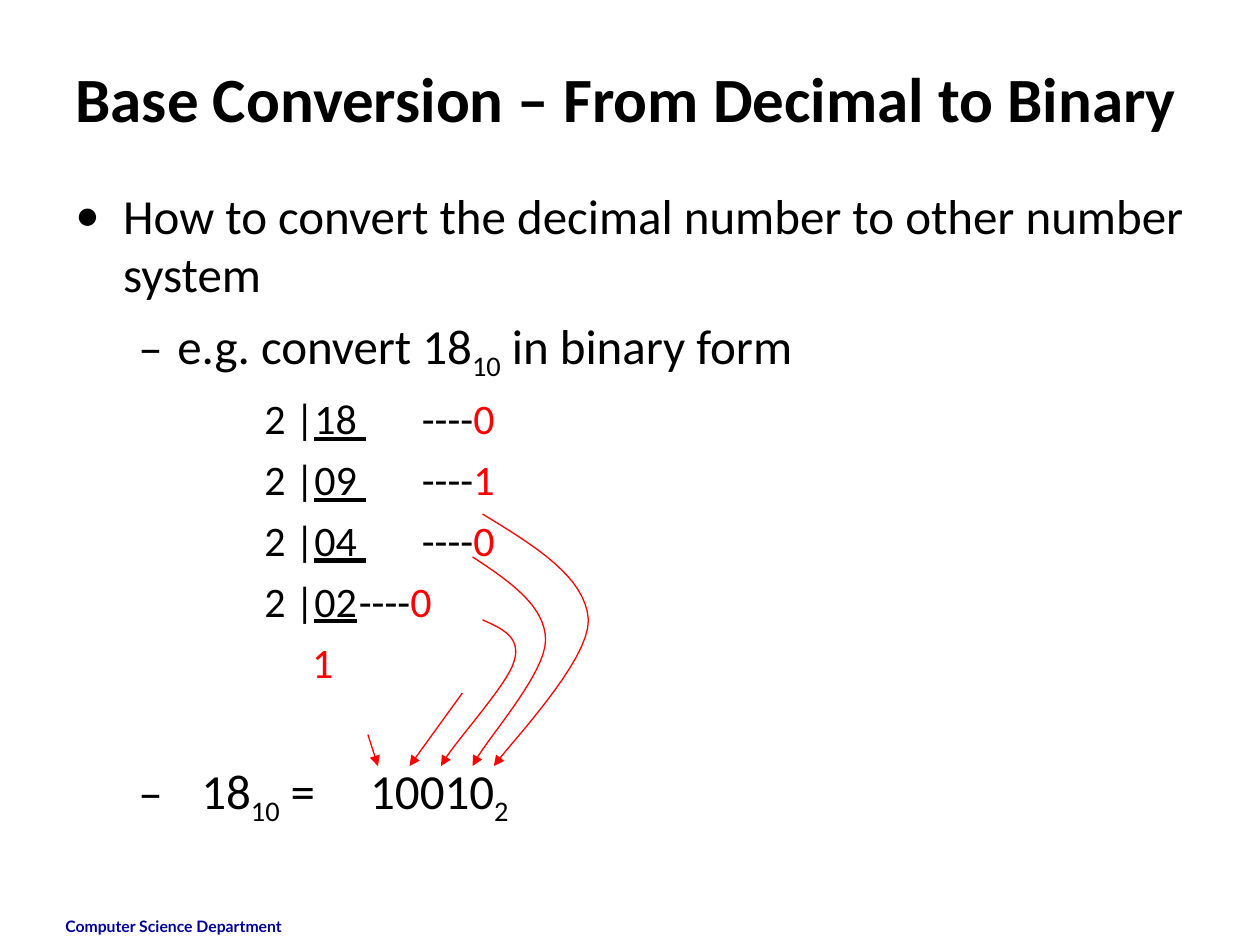
from dataclasses import dataclass

from lxml.etree import SubElement
from pptx import Presentation
from pptx.dml.color import RGBColor
from pptx.enum.shapes import MSO_CONNECTOR
from pptx.enum.text import MSO_ANCHOR, MSO_AUTO_SIZE, PP_ALIGN
from pptx.oxml.ns import qn
from pptx.util import Inches, Pt

BLACK = RGBColor(0x00, 0x00, 0x00)
RED = RGBColor(0xFF, 0x00, 0x00)
NAVY = RGBColor(0x00, 0x00, 0x99)

Point = tuple[float, float]
Cubic = tuple[Point, Point, Point]


@dataclass(frozen=True)
class TextRun:
    text: str
    color: RGBColor = BLACK
    underline: bool = False
    subscript: bool = False


@dataclass(frozen=True)
class ParagraphStyle:
    size: int
    margin: float
    indent: float = 0
    space_before: int = 0
    bullet: str = ""
    tabs: tuple[float, ...] = ()
    alignment: PP_ALIGN = PP_ALIGN.LEFT


@dataclass(frozen=True)
class CurvedArrow:
    start: Point
    cubics: tuple[Cubic, Cubic]


TOPIC = ParagraphStyle(28, 0.38, -0.38, bullet="•")
EXAMPLE = ParagraphStyle(28, 0.81, -0.31, 7, "–")
DIVISION = ParagraphStyle(24, 1.75, -0.25, 6, tabs=(2.38,), alignment=PP_ALIGN.JUSTIFY)
LAST_QUOTIENT = ParagraphStyle(24, 1.88, space_before=6)
RESULT = ParagraphStyle(28, 0.81, -0.31, 42, "–", (1, 2.34))

DIVISIONS = [("18 ", "0"), ("09 ", "1"), ("04 ", "0"), ("02", "0")]

STRAIGHT_ARROWS = [((2.92, 5.83), (3, 6.08)), ((3.67, 5.5), (3.25, 6.08))]
CURVED_ARROWS = [
    CurvedArrow((3.83, 4.92), (
        ((3.99, 4.99), (4.14, 5.06), (4.08, 5.25)),
        ((4.03, 5.44), (3.57, 5.93), (3.5, 6.08)))),
    CurvedArrow((3.75, 4.42), (
        ((4.04, 4.61), (4.33, 4.81), (4.33, 5.08)),
        ((4.33, 5.36), (3.83, 5.9), (3.75, 6.08)))),
    CurvedArrow((3.83, 4.08), (
        ((4.24, 4.33), (4.65, 4.58), (4.67, 4.92)),
        ((4.68, 5.25), (4.03, 5.92), (3.92, 6.08)))),
]


def place(shape, left: float, top: float, width: float, height: float) -> None:
    shape.left, shape.top = Inches(left), Inches(top)
    shape.width, shape.height = Inches(width), Inches(height)


def add_run(paragraph, text_run: TextRun, size: int, font_name: str = "Calibri",
            bold: bool = False) -> None:
    run = paragraph.add_run()
    run.text = text_run.text
    font = run.font
    font.name, font.size, font.bold = font_name, Pt(size), bold
    font.color.rgb = text_run.color
    if text_run.underline:
        font.underline = True
    if text_run.subscript:
        font._element.set("baseline", "-25000")


def format_paragraph(paragraph, style: ParagraphStyle) -> None:
    properties = paragraph._p.get_or_add_pPr()
    properties.set("marL", str(Inches(style.margin)))
    properties.set("indent", str(Inches(style.indent)))
    if style.bullet:
        SubElement(properties, qn("a:buFont"), typeface="Calibri")
        SubElement(properties, qn("a:buChar"), char=style.bullet)
    if style.tabs:
        tab_list = SubElement(properties, qn("a:tabLst"))
        for position in style.tabs:
            SubElement(tab_list, qn("a:tab"), pos=str(Inches(position)), algn="l")
    paragraph.alignment = style.alignment
    if style.space_before:
        paragraph.space_before = Pt(style.space_before)


def add_title(slide) -> None:
    title = slide.shapes.title
    place(title, 0.5, 0.3, 9, 0.95)
    frame = title.text_frame
    frame.word_wrap = True
    frame.auto_size = MSO_AUTO_SIZE.NONE
    frame.vertical_anchor = MSO_ANCHOR.MIDDLE
    paragraph = frame.paragraphs[0]
    paragraph.alignment = PP_ALIGN.LEFT
    add_run(paragraph, TextRun("Base Conversion – From Decimal to Binary"), 36, bold=True)


def add_text_frame(slide, left: float, top: float, width: float, height: float):
    box = slide.shapes.add_textbox(Inches(left), Inches(top), Inches(width), Inches(height))
    box.text_frame.word_wrap = True
    return box.text_frame


def add_body(slide) -> None:
    content = [
        (TOPIC, [TextRun("How to convert the decimal number to other number system")]),
        (EXAMPLE, [TextRun("e.g. convert 18"), TextRun("10", subscript=True),
                   TextRun(" in binary form")]),
    ]
    for quotient, remainder in DIVISIONS:
        content.append((DIVISION, [TextRun("2 |"), TextRun(quotient, underline=True),
                                   TextRun("\t----"), TextRun(remainder, RED)]))
    content.append((LAST_QUOTIENT, [TextRun("1", RED)]))
    content.append((RESULT, [TextRun("\t18"), TextRun("10", subscript=True),
                             TextRun(" =\t10010"), TextRun("2", subscript=True)]))

    frame = add_text_frame(slide, 0.5, 1.42, 9, 5.67)
    for index, (style, text_runs) in enumerate(content):
        paragraph = frame.add_paragraph() if index else frame.paragraphs[0]
        format_paragraph(paragraph, style)
        for text_run in text_runs:
            add_run(paragraph, text_run, style.size)


def format_arrow(shape) -> None:
    shape.line.color.rgb = RED
    shape.line.width = Pt(0.75)
    SubElement(shape.line._get_or_add_ln(), qn("a:tailEnd"), type="triangle")


def add_straight_arrow(slide, start: Point, end: Point) -> None:
    connector = slide.shapes.add_connector(
        MSO_CONNECTOR.STRAIGHT, *(Inches(value) for value in start + end))
    format_arrow(connector)
    SubElement(connector._element.spPr, qn("a:effectLst"))


def cubic_points(start: Point, cubic: Cubic, steps: int = 16) -> list[Point]:
    points = []
    for step in range(1, steps + 1):
        t = step / steps
        weights = ((1 - t) ** 3, 3 * t * (1 - t) ** 2, 3 * t ** 2 * (1 - t), t ** 3)
        x, y = (sum(weight * point[axis] for weight, point in zip(weights, (start, *cubic)))
                for axis in (0, 1))
        points.append((Inches(x), Inches(y)))
    return points


def add_curved_arrow(slide, arrow: CurvedArrow) -> None:
    first, second = arrow.cubics
    points = cubic_points(arrow.start, first) + cubic_points(first[-1], second)
    builder = slide.shapes.build_freeform(*(Inches(value) for value in arrow.start))
    builder.add_line_segments(points, close=False)
    curve = builder.convert_to_shape()
    curve.fill.background()
    format_arrow(curve)
    curve.shadow.inherit = False


def main() -> None:
    presentation = Presentation()
    presentation.slide_width, presentation.slide_height = Inches(10), Inches(7.5)
    slide = presentation.slides.add_slide(presentation.slide_layouts[5])
    footer = add_text_frame(slide, 0.42, 7.23, 2.33, 0.27)
    add_run(footer.paragraphs[0], TextRun("Computer Science Department", NAVY), 9, "Lato", True)
    add_title(slide)
    add_body(slide)
    for start, end in STRAIGHT_ARROWS:
        add_straight_arrow(slide, start, end)
    for arrow in CURVED_ARROWS:
        add_curved_arrow(slide, arrow)
    presentation.save("out.pptx")


if __name__ == "__main__":
    main()
